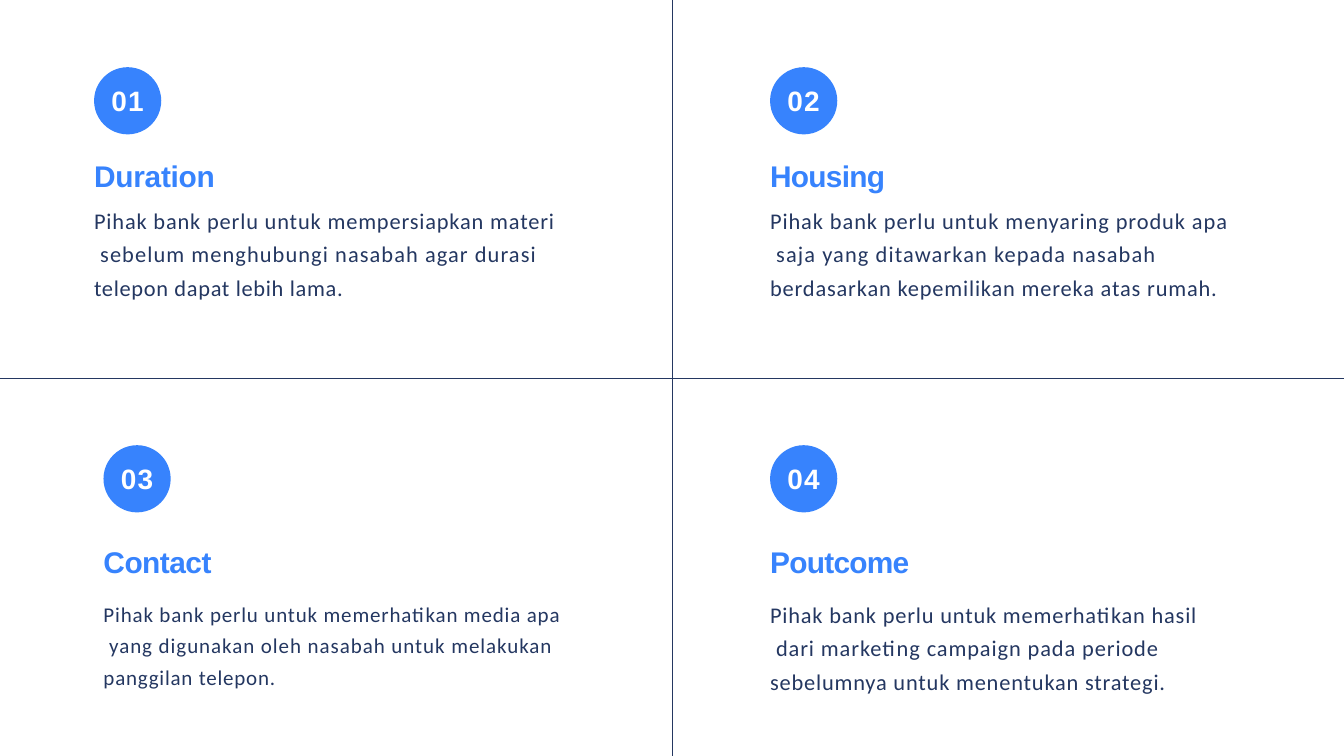
from dataclasses import dataclass

from lxml.etree import SubElement
from pptx import Presentation
from pptx.dml.color import RGBColor
from pptx.enum.shapes import MSO_CONNECTOR, MSO_SHAPE
from pptx.enum.text import MSO_ANCHOR, MSO_AUTO_SIZE, PP_ALIGN
from pptx.oxml.ns import qn
from pptx.util import Inches, Pt

BLUE = RGBColor(0x37, 0x83, 0xFD)
NAVY = RGBColor(0x24, 0x37, 0x61)
WHITE = RGBColor(0xFF, 0xFF, 0xFF)

SLIDE_WIDTH, SLIDE_HEIGHT = Inches(20), Inches(11.25)
COLUMN_WIDTH, ROW_HEIGHT = SLIDE_WIDTH // 2, SLIDE_HEIGHT // 2
BADGE_SIZE = Inches(1)
BADGE_OFFSET = Inches(1)
TEXT_WIDTH = Inches(6.9)
TEXT_HEIGHT = Inches(2.44)
# Per row: text offset from the row top, top inset, space before the heading
ROW_TEXT = [(Inches(2.05), Inches(0.29), 20.8),
            (Inches(2.46), Inches(0.01), 1)]


@dataclass
class Topic:
    heading: str
    heading_spacing: float
    indent: float  # inches from the left of the column
    body_size: float
    body_gap: float
    lines: list  # (text, letter spacing in points)


TOPICS = [
    Topic("Duration", -0.3, 1.4, 24, 7.6, [
        ("Pihak bank perlu untuk mempersiapkan materi", 0.9),
        (" sebelum menghubungi nasabah agar durasi", 1.15),
        ("telepon dapat lebih lama.", 0.75)]),
    Topic("Housing", -0.8, 1.46, 24, 7.6, [
        ("Pihak bank perlu untuk menyaring produk apa", 0.98),
        (" saja yang ditawarkan kepada nasabah", 1.18),
        ("berdasarkan kepemilikan mereka atas rumah.", 0.91)]),
    Topic("Contact", -0.6, 1.54, 22.5, 16.2, [
        ("Pihak bank perlu untuk memerhatikan media apa", 0.87),
        (" yang digunakan oleh nasabah untuk melakukan", 0.99),
        ("panggilan telepon.", 0.83)]),
    Topic("Poutcome", -0.8, 1.46, 24, 15.5, [
        ("Pihak bank perlu untuk memerhatikan hasil", 0.88),
        (" dari marketing campaign pada periode", 0.95),
        ("sebelumnya untuk menentukan strategi.", 0.89)]),
]


def add_run(paragraph, text, font_name, size, color, spacing, bold=False):
    run = paragraph.add_run()
    run.text = text
    run.font.name = font_name
    run.font.size = Pt(size)
    run.font.bold = bold
    run.font.color.rgb = color
    run.font._element.set("spc", str(round(spacing * 100)))


def set_frame(text_frame, top_inset=0, anchor=MSO_ANCHOR.TOP):
    text_frame.margin_left = text_frame.margin_right = text_frame.margin_bottom = 0
    text_frame.margin_top = top_inset
    text_frame.word_wrap = True
    text_frame.auto_size = MSO_AUTO_SIZE.NONE
    text_frame.vertical_anchor = anchor


def add_divider(slide, *ends):
    line = slide.shapes.add_connector(MSO_CONNECTOR.STRAIGHT, *ends)
    line.line.color.rgb = NAVY
    line.line.width = Pt(0.75)
    SubElement(line._element.spPr, qn("a:effectLst"))


def add_badge(slide, left, top, number):
    badge = slide.shapes.add_shape(MSO_SHAPE.OVAL, left, top, BADGE_SIZE, BADGE_SIZE)
    badge.shadow.inherit = False
    badge.fill.solid()
    badge.fill.fore_color.rgb = BLUE
    badge.line.fill.background()
    set_frame(badge.text_frame, anchor=MSO_ANCHOR.MIDDLE)
    paragraph = badge.text_frame.paragraphs[0]
    paragraph.alignment = PP_ALIGN.CENTER
    add_run(paragraph, f"{number:02d}", "Arial", 30, WHITE, 1.3, bold=True)


def fill_topic(shape, topic, left, top, top_inset, heading_gap):
    shape.left, shape.top = left, top
    shape.width, shape.height = TEXT_WIDTH, TEXT_HEIGHT
    text_frame = shape.text_frame
    set_frame(text_frame, top_inset)

    heading = text_frame.paragraphs[0]
    heading.alignment = PP_ALIGN.LEFT
    heading.space_before = Pt(heading_gap)
    add_run(heading, topic.heading, "Arial", 32, BLUE, topic.heading_spacing, bold=True)

    body = text_frame.add_paragraph()
    body.alignment = PP_ALIGN.LEFT
    body.line_spacing = 1.25
    body.space_before = Pt(topic.body_gap)
    for index, (text, spacing) in enumerate(topic.lines):
        if index:
            body.add_line_break()
        add_run(body, text, "Calibri", topic.body_size, NAVY, spacing)


def main():
    presentation = Presentation()
    presentation.slide_width, presentation.slide_height = SLIDE_WIDTH, SLIDE_HEIGHT
    slide = presentation.slides.add_slide(presentation.slide_layouts[5])

    # Lines between the four quadrants
    add_divider(slide, 0, ROW_HEIGHT, SLIDE_WIDTH, ROW_HEIGHT)
    add_divider(slide, COLUMN_WIDTH, SLIDE_HEIGHT, COLUMN_WIDTH, 0)

    # One topic per quadrant; the first one is the slide title
    for index, topic in enumerate(TOPICS):
        row, column = divmod(index, 2)
        left = column * COLUMN_WIDTH + Inches(topic.indent)
        row_top = row * ROW_HEIGHT
        text_offset, top_inset, heading_gap = ROW_TEXT[row]
        add_badge(slide, left, row_top + BADGE_OFFSET, index + 1)
        shape = slide.shapes.title if index == 0 else slide.shapes.add_textbox(0, 0, 0, 0)
        fill_topic(shape, topic, left, row_top + text_offset, top_inset, heading_gap)

    presentation.save("out.pptx")


if __name__ == "__main__":
    main()
